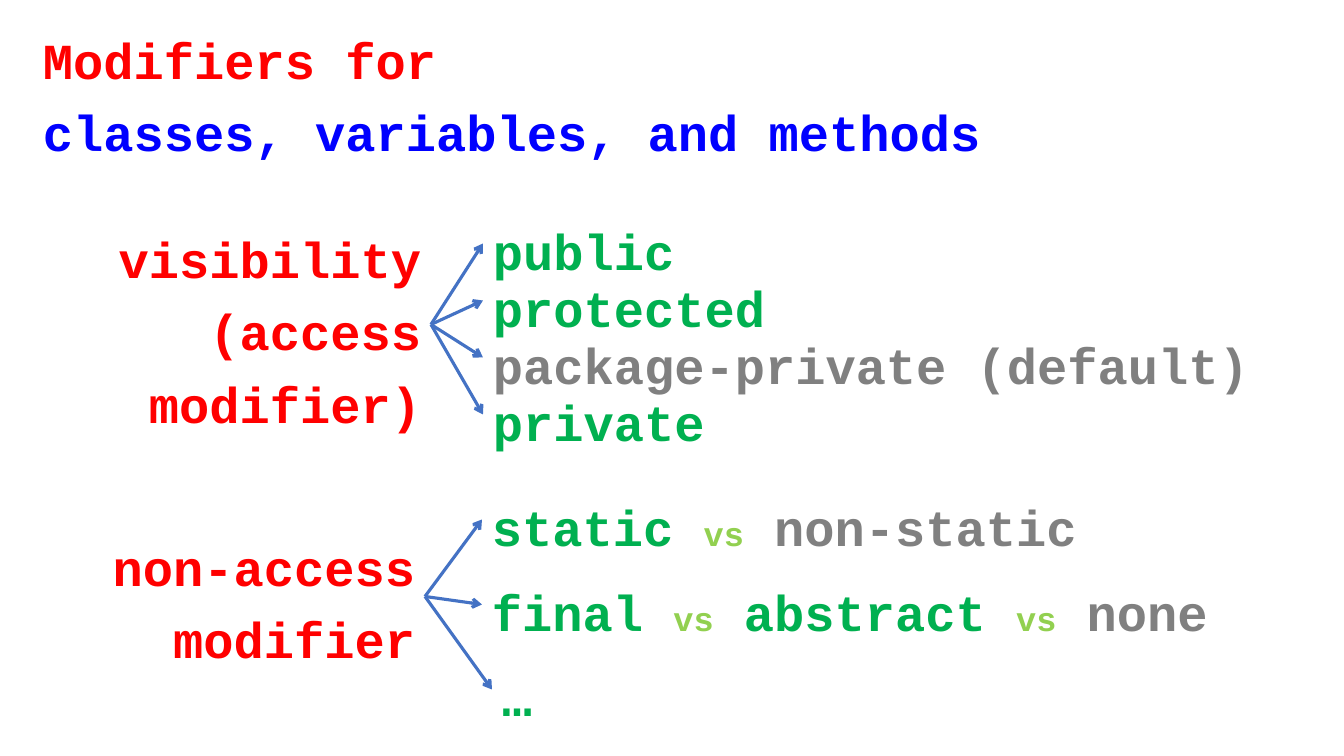
from dataclasses import dataclass
from typing import NamedTuple

from lxml import etree
from pptx import Presentation
from pptx import util as u
from pptx.dml.color import RGBColor
from pptx.enum import shapes, text
from pptx.oxml import ns

EMU_PER_PX = 914400 / 100.8


@dataclass(frozen=True)
class Theme:
    font: str = "Courier New"
    heading: str = "FF0000"
    subject: str = "0000FF"
    keyword: str = "00B050"
    default: str = "808080"
    versus: str = "92D050"
    arrow: str = "4472C4"
    size: int = 36
    versus_size: int = 24
    line_spacing: float = 1.2
    arrow_width: float = 2.25


THEME = Theme()


class Span(NamedTuple):
    text: str
    color: str = THEME.keyword
    size: int = THEME.size


class Box(NamedTuple):
    x: int
    y: int
    w: int
    h: int


class Option(NamedTuple):
    x: int
    w: int
    spans: list[Span]


class Group(NamedTuple):
    label: Box
    lines: list[str]
    top: int
    step: int
    options: list[Option]


OPTION_HEIGHT = 81
VS = Span("vs", THEME.versus, THEME.versus_size)
TITLE = Box(33, 13, 1091, 153)

GROUPS = [
    Group(Box(77, 211, 354, 227), ["visibility", "(access modifier)"], 203, 57, [
        Option(483, 233, [Span("public")]),
        Option(483, 380, [Span("protected")]),
        Option(483, 786, [Span("package-private (default)", THEME.default)]),
        Option(483, 254, [Span("private")]),
    ]),
    Group(Box(94, 520, 331, 153), ["non-access modifier"], 479, 85, [
        Option(482, 713, [Span("static "), VS, Span(" "),
                          Span("non-static", THEME.default)]),
        Option(482, 837, [Span("final "), VS, Span(" abstract "), VS, Span(" "),
                          Span("none", THEME.default)]),
        Option(492, 254, [Span("…")]),
    ]),
]


def px(n: float) -> u.Emu:
    return u.Emu(round(n * EMU_PER_PX))


def add_text(s, box: Box, paragraphs: list[list[Span]], *,
             align=text.PP_ALIGN.LEFT, anchor=text.MSO_ANCHOR.TOP) -> None:
    sp = s.shapes.add_textbox(*map(px, box))
    tf = sp.text_frame
    tf.word_wrap = True
    tf.auto_size = text.MSO_AUTO_SIZE.SHAPE_TO_FIT_TEXT
    tf.vertical_anchor = anchor
    for i, spans in enumerate(paragraphs):
        p = tf.add_paragraph() if i else tf.paragraphs[0]
        p.alignment = align
        p.line_spacing = THEME.line_spacing
        for span in spans:
            r = p.add_run()
            r.text = span.text
            r.font.name = THEME.font
            r.font.bold = True
            r.font.size = u.Pt(span.size)
            r.font.color.rgb = RGBColor.from_string(span.color)


def add_arrow(s, x1: float, y1: float, x2: float, y2: float) -> None:
    sp = s.shapes.add_connector(shapes.MSO_CONNECTOR.STRAIGHT,
                                px(x1), px(y1), px(x2), px(y2))
    sp.line.color.rgb = RGBColor.from_string(THEME.arrow)
    sp.line.width = u.Pt(THEME.arrow_width)
    etree.SubElement(sp.line._get_or_add_ln(), ns.qn("a:tailEnd"), type="arrow")
    etree.SubElement(sp._element.spPr, ns.qn("a:effectLst"))


def add_group(s, group: Group) -> None:
    label = group.label
    add_text(s, label, [[Span(line, THEME.heading)] for line in group.lines],
             align=text.PP_ALIGN.RIGHT, anchor=text.MSO_ANCHOR.MIDDLE)
    for i, option in enumerate(group.options):
        y = group.top + i * group.step
        add_text(s, Box(option.x, y, option.w, OPTION_HEIGHT), [option.spans])
        add_arrow(s, label.x + label.w, label.y + label.h / 2,
                  option.x, y + OPTION_HEIGHT / 2)


def main() -> None:
    prs = Presentation()
    prs.slide_width, prs.slide_height = px(1344), px(756)
    s = prs.slides.add_slide(prs.slide_layouts[6])
    add_text(s, TITLE, [[Span("Modifiers for", THEME.heading)],
                        [Span("classes, variables, and methods", THEME.subject)]],
             anchor=text.MSO_ANCHOR.MIDDLE)
    for group in GROUPS:
        add_group(s, group)
    prs.save("out.pptx")


main()
